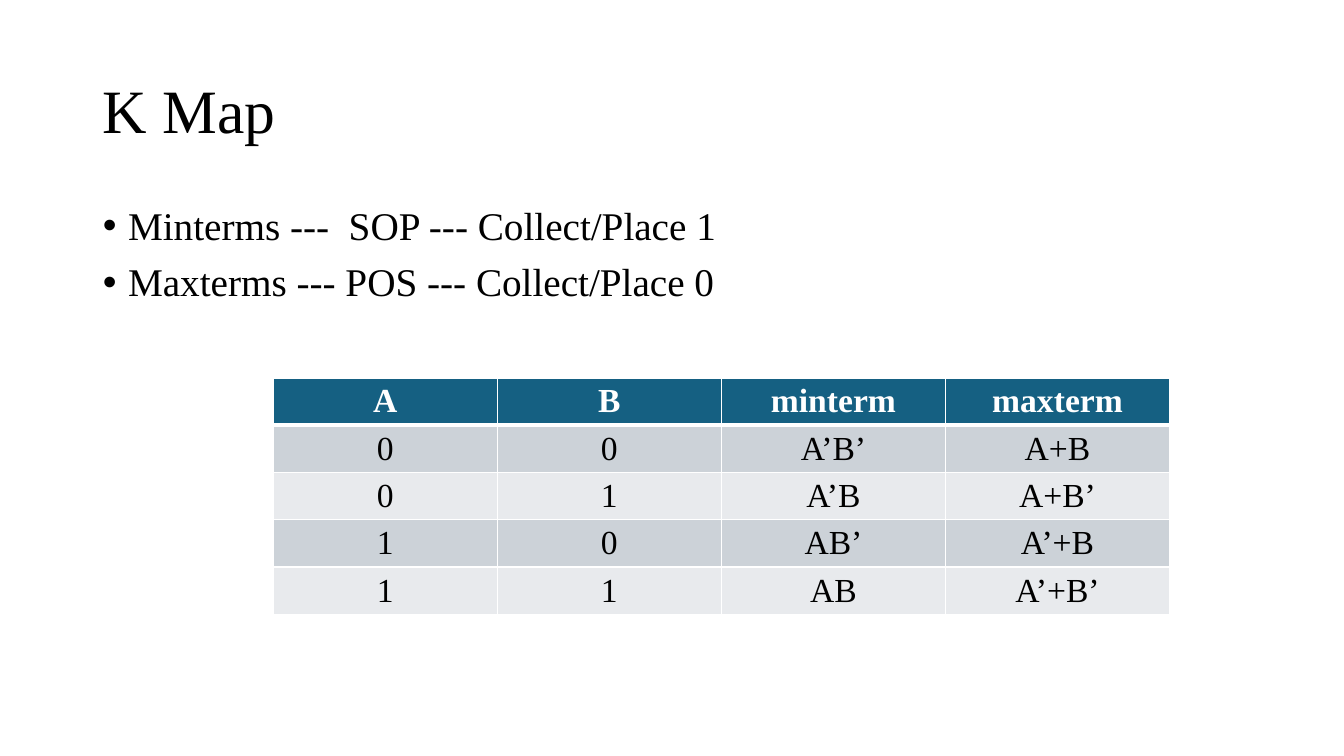
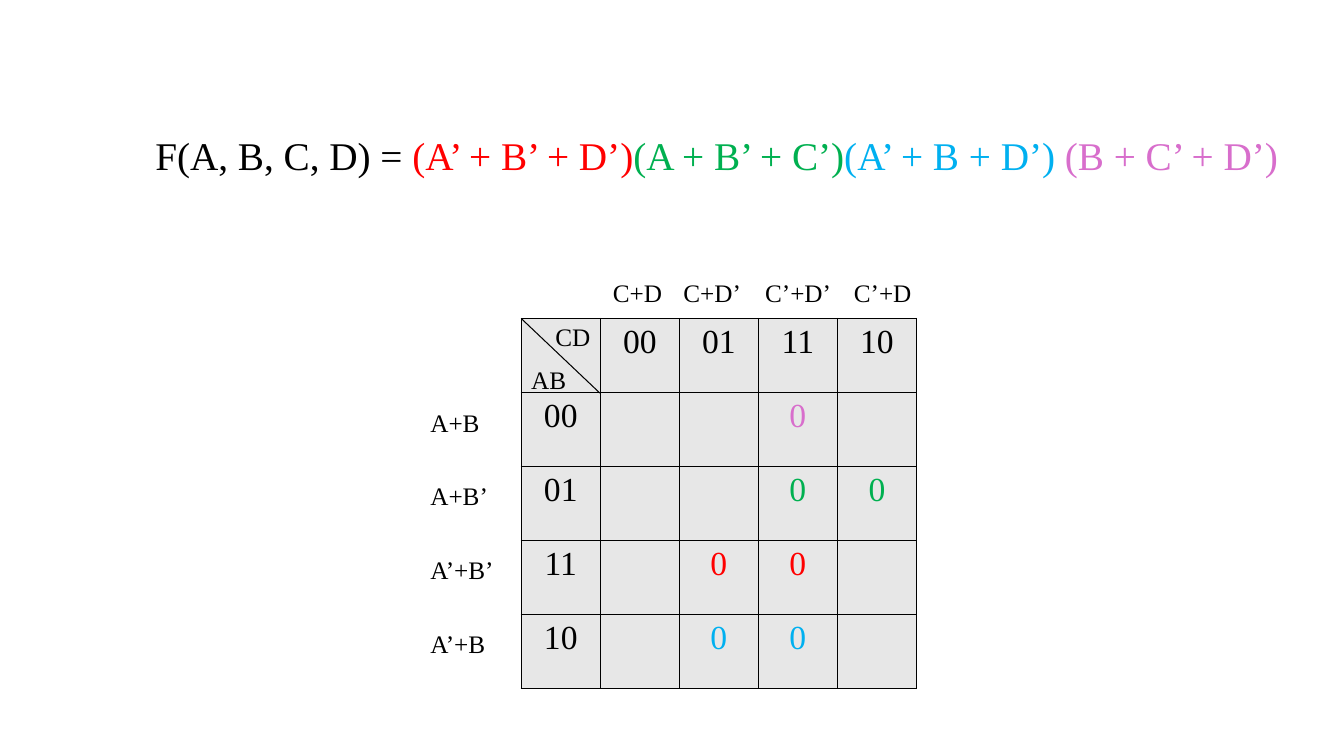
from dataclasses import dataclass

from pptx import Presentation
from pptx.dml.color import RGBColor
from pptx.enum.shapes import MSO_CONNECTOR
from pptx.enum.text import MSO_ANCHOR, MSO_AUTO_SIZE, PP_ALIGN
from pptx.oxml.ns import qn
from pptx.util import Inches, Pt
from lxml.etree import SubElement


@dataclass(frozen=True)
class Theme:
    font: str = "Times New Roman"
    title: int = 44
    body: int = 28
    cell: int = 24
    label: int = 18
    black: str = "000000"
    white: str = "FFFFFF"
    header: str = "156082"
    bands: tuple = ("CCD2D8", "E8EAED")
    grid: str = "E7E7E7"
    red: str = "FF0000"
    green: str = "00B050"
    blue: str = "00B0F0"
    pink: str = "D86ECC"


THEME = Theme()


def style_run(r, size, color=THEME.black, bold=False):
    r.font.name = THEME.font
    r.font.size = Pt(size)
    r.font.bold = bold
    r.font.color.rgb = RGBColor.from_string(color)


def place(sp, left, top, width, height):
    sp.left, sp.top = Inches(left), Inches(top)
    sp.width, sp.height = Inches(width), Inches(height)


def set_title(slide, text):
    sp = slide.shapes.title
    place(sp, 0.92, 0.4, 11.5, 1.45)
    tf = sp.text_frame
    tf.text = text
    tf.auto_size = MSO_AUTO_SIZE.NONE
    tf.vertical_anchor = MSO_ANCHOR.MIDDLE
    p = tf.paragraphs[0]
    p.alignment = PP_ALIGN.LEFT
    p.line_spacing = 0.9
    style_run(p.runs[0], THEME.title)


def set_body(slide, box, paragraphs, bullet=True):
    sp = slide.placeholders[1]
    place(sp, *box)
    tf = sp.text_frame
    tf.auto_size = MSO_AUTO_SIZE.NONE
    for i, parts in enumerate(paragraphs):
        p = tf.add_paragraph() if i else tf.paragraphs[0]
        p.line_spacing = 0.9
        p.space_before = Pt(10)
        indent = Inches(0.25) if bullet else 0
        pPr = p._p.get_or_add_pPr()
        pPr.set("marL", str(indent))
        pPr.set("indent", str(-indent))
        if bullet:
            SubElement(pPr, qn("a:buFont"), typeface="Arial")
            SubElement(pPr, qn("a:buChar"), char="•")
        else:
            SubElement(pPr, qn("a:buNone"))
        for text, color in parts:
            r = p.add_run()
            r.text = text
            style_run(r, THEME.body, color)


def set_borders(cell, color, top=1, bottom=1):
    tcPr = cell._tc.get_or_add_tcPr()
    for side, width in (("L", 1), ("R", 1), ("T", top), ("B", bottom)):
        ln = SubElement(tcPr, qn(f"a:ln{side}"), w=str(Pt(width)))
        fill = SubElement(ln, qn("a:solidFill"))
        SubElement(fill, qn("a:srgbClr"), val=color)


def format_cell(cell, text, fill, color=THEME.black, bold=False):
    cell.fill.solid()
    cell.fill.fore_color.rgb = RGBColor.from_string(fill)
    cell.text = text
    p = cell.text_frame.paragraphs[0]
    p.alignment = PP_ALIGN.CENTER
    for r in p.runs:
        style_run(r, THEME.cell, color, bold)


def add_grid(slide, box, rows, columns):
    frame = slide.shapes.add_table(rows, columns, *map(Inches, box))
    table = frame.table
    table.first_row = table.horz_banding = False
    return table


def add_truth_table(slide, box, rows):
    table = add_grid(slide, box, len(rows), len(rows[0]))
    for i, row in enumerate(rows):
        is_header = i == 0
        fill = THEME.header if is_header else THEME.bands[(i - 1) % 2]
        color = THEME.white if is_header else THEME.black
        for j, text in enumerate(row):
            cell = table.cell(i, j)
            set_borders(cell, THEME.white, top=3 if i == 1 else 1, bottom=3 if is_header else 1)
            format_cell(cell, text, fill, color, is_header)


def add_k_map(slide, box, codes, zeros):
    size = len(codes) + 1
    table = add_grid(slide, box, size, size)
    for i in range(size):
        for j in range(size):
            text, color = "", THEME.black
            if i and j:
                color = zeros.get((codes[i - 1], codes[j - 1]), THEME.black)
                text = "0" if (codes[i - 1], codes[j - 1]) in zeros else ""
            elif i or j:
                text = codes[i + j - 1]
            cell = table.cell(i, j)
            set_borders(cell, THEME.black)
            format_cell(cell, text, THEME.grid, color)


def add_label(slide, text, left, top, width=0.85):
    sp = slide.shapes.add_textbox(*map(Inches, (left, top, width, 0.4)))
    tf = sp.text_frame
    tf.word_wrap = False
    tf.text = text
    style_run(tf.paragraphs[0].runs[0], THEME.label)


def add_line(slide, start, end):
    line = slide.shapes.add_connector(MSO_CONNECTOR.STRAIGHT, *map(Inches, start + end))
    line.line.color.rgb = RGBColor.from_string(THEME.black)
    line.line.width = Pt(0.75)
    SubElement(line._element.spPr, qn("a:effectLst"))


def build_terms_slide(prs):
    slide = prs.slides.add_slide(prs.slide_layouts[1])
    set_title(slide, "K Map")
    lines = ("Minterms ---  SOP --- Collect/Place 1", "Maxterms --- POS --- Collect/Place 0")
    set_body(slide, (0.92, 2, 11.5, 4.76), [[(text, THEME.black)] for text in lines])
    add_truth_table(slide, (2.71, 3.75, 8.89, 2.34), [
        ("A", "B", "minterm", "maxterm"),
        ("0", "0", "A’B’", "A+B"),
        ("0", "1", "A’B", "A+B’"),
        ("1", "0", "AB’", "A’+B"),
        ("1", "1", "AB", "A’+B’"),
    ])


def build_k_map_slide(prs):
    slide = prs.slides.add_slide(prs.slide_layouts[1])
    title = slide.shapes.title._element
    title.getparent().remove(title)
    set_body(slide, (1.44, 1.31, 11.8, 2), [[
        ("F(A, B, C, D) = ", THEME.black),
        ("(A’ + B’ + D’)", THEME.red),
        ("(A + B’ + C’)", THEME.green),
        ("(A’ + B + D’) ", THEME.blue),
        ("(B + C’ + D’)", THEME.pink),
    ]], bullet=False)

    left, top, side, step = 5.17, 3.16, 3.92, 0.73
    add_k_map(slide, (left, top, side, 3.67), ("00", "01", "11", "10"), {
        ("00", "11"): THEME.pink,
        ("01", "11"): THEME.green,
        ("01", "10"): THEME.green,
        ("11", "01"): THEME.red,
        ("11", "11"): THEME.red,
        ("10", "01"): THEME.blue,
        ("10", "11"): THEME.blue,
    })
    add_label(slide, "AB", left, 3.57)
    add_label(slide, "CD", 5.41, 3.14)
    add_line(slide, (left, top), (5.95, 3.9))
    for i, text in enumerate(("A+B", "A+B’", "A’+B’", "A’+B")):
        add_label(slide, text, 4.17, 3.99 + i * step)
    for text, x, width in (("C+D", 5.98, 0.69), ("C+D’", 6.68, 0.78),
                           ("C’+D’", 7.49, 0.86), ("C’+D", 8.37, 0.78)):
        add_label(slide, text, x, 2.7, width)


def main():
    prs = Presentation()
    prs.slide_width, prs.slide_height = Inches(13.33), Inches(7.5)
    build_terms_slide(prs)
    build_k_map_slide(prs)
    prs.save("out.pptx")


if __name__ == "__main__":
    main()
